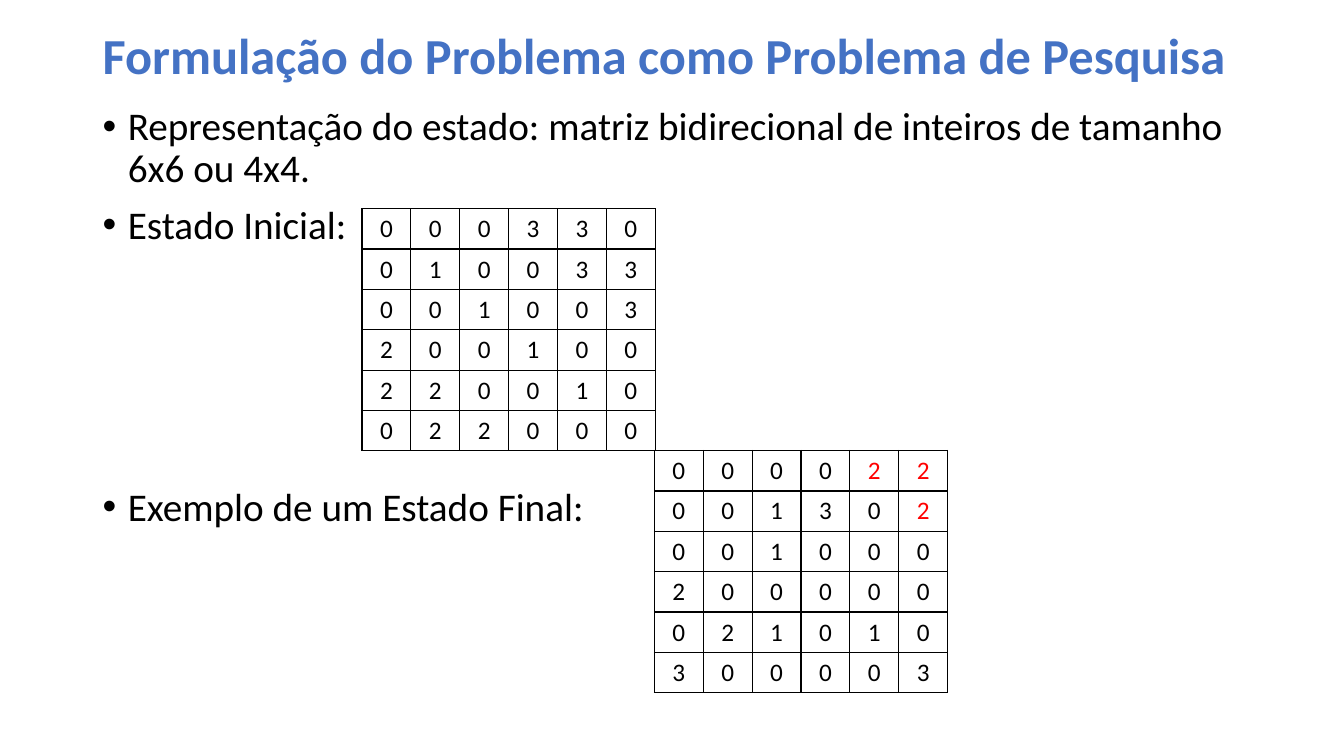
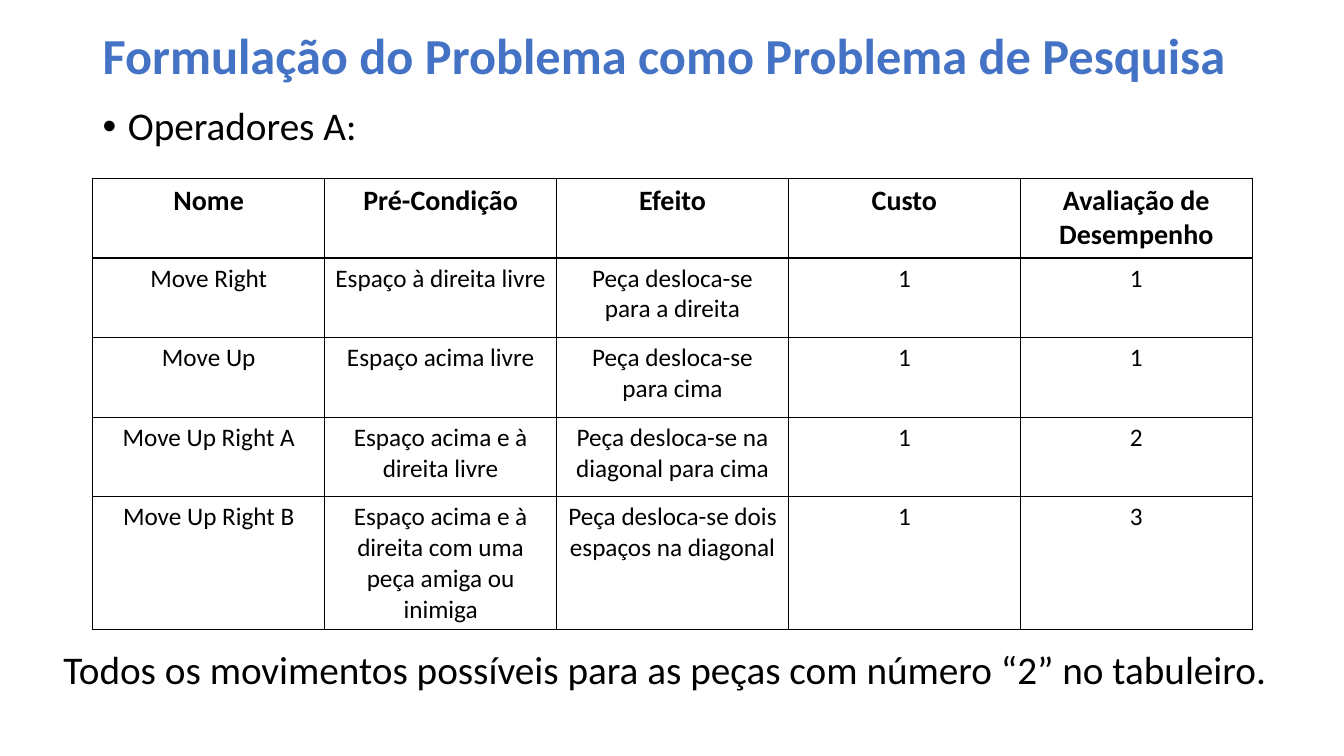
from dataclasses import dataclass

import lxml.etree
import pptx
import pptx.dml.color
import pptx.enum.text
import pptx.oxml.ns
import pptx.util

Inches = pptx.util.Inches
Pt = pptx.util.Pt
RGB = pptx.dml.color.RGBColor
Align = pptx.enum.text.PP_ALIGN
Anchor = pptx.enum.text.MSO_ANCHOR
qn = pptx.oxml.ns.qn


@dataclass(frozen=True)
class Theme:
    font: str = "Calibri"
    title_color: RGB = RGB(0x44, 0x72, 0xC4)
    text_color: RGB = RGB(0, 0, 0)
    mark_color: RGB = RGB(0xFF, 0, 0)
    border_color: RGB = RGB(0, 0, 0)
    border_width: int = Pt(1)
    title_size: int = Pt(36)
    body_size: int = Pt(28)
    header_size: int = Pt(20)
    cell_size: int = Pt(18)
    line_spacing: float = 0.9
    bullet_gap: int = Pt(10)


THEME = Theme()
LEFT, CONTENT_WIDTH = Inches(0.92), Inches(11.5)

TITLE = "Formulação do Problema como Problema de Pesquisa"

# Each bullet: text, space before it
STATE_BULLETS = [
    ("Representação do estado: matriz bidirecional de inteiros de tamanho 6x6 ou 4x4.",
     THEME.bullet_gap),
    ("Estado Inicial:", THEME.bullet_gap),
    ("Exemplo de um Estado Final:", Pt(171)),
]
OPERATOR_BULLETS = [("Operadores A:", THEME.bullet_gap)]

INITIAL_BOARD = ["000330", "010033", "001003", "200100", "220010", "022000"]
FINAL_BOARD = ["000022", "001302", "001000", "200000", "021010", "300003"]
FINAL_MARKS = {(0, 4), (0, 5), (1, 5)}

OPERATORS = [
    ("Nome", "Pré-Condição", "Efeito", "Custo", "Avaliação de Desempenho"),
    ("Move Right", "Espaço à direita livre", "Peça desloca-se para a direita", "1", "1"),
    ("Move Up", "Espaço acima livre", "Peça desloca-se para cima", "1", "1"),
    ("Move Up Right A", "Espaço acima e à direita livre",
     "Peça desloca-se na diagonal para cima", "1", "2"),
    ("Move Up Right B", "Espaço acima e à direita com uma peça amiga ou inimiga",
     "Peça desloca-se dois espaços na diagonal", "1", "3"),
]
OPERATOR_ROW_HEIGHTS = [Inches(0.79)] * 4 + [Inches(1.32)]
OPERATOR_NOTE = "Todos os movimentos possíveis para as peças com número “2” no tabuleiro."


def add_span(para, text, size, color=THEME.text_color, bold=False):
    span = para.add_run()
    span.text = text
    span.font.name = THEME.font
    span.font.size = size
    span.font.bold = bold
    span.font.color.rgb = color


def add_box(page, left, top, width, height):
    box = page.shapes.add_textbox(left, top, width, height)
    box.text_frame.word_wrap = True
    return box.text_frame


def add_bullet_mark(para):
    properties = para._p.get_or_add_pPr()
    properties.set("marL", str(Inches(0.25)))
    properties.set("indent", str(-Inches(0.25)))
    lxml.etree.SubElement(properties, qn("a:buFont"), typeface="Arial")
    lxml.etree.SubElement(properties, qn("a:buChar"), char="•")


def add_page(deck, bullets):
    """Add a slide with the shared title and a bulleted body."""
    page = deck.slides.add_slide(deck.slide_layouts[6])
    title = add_box(page, LEFT, 0, CONTENT_WIDTH, Inches(1.15))
    title.vertical_anchor = Anchor.MIDDLE
    title.paragraphs[0].line_spacing = THEME.line_spacing
    add_span(title.paragraphs[0], TITLE, THEME.title_size, THEME.title_color, bold=True)

    body = add_box(page, LEFT, Inches(1.01), CONTENT_WIDTH, Inches(6.35))
    for index, (text, gap) in enumerate(bullets):
        para = body.add_paragraph() if index else body.paragraphs[0]
        para.line_spacing = THEME.line_spacing
        para.space_before = gap
        add_bullet_mark(para)
        add_span(para, text, THEME.body_size)
    return page


def add_borders(cell):
    properties = cell._tc.get_or_add_tcPr()
    for side in ("a:lnL", "a:lnR", "a:lnT", "a:lnB"):
        line = lxml.etree.SubElement(properties, qn(side), w=str(THEME.border_width))
        fill = lxml.etree.SubElement(line, qn("a:solidFill"))
        lxml.etree.SubElement(fill, qn("a:srgbClr"), val=str(THEME.border_color))


def add_grid(page, rows, left, top, width, row_heights, header=False, marks=()):
    """Add a plain bordered table with equal columns; marks are (row, column) pairs."""
    columns = len(rows[0])
    table = page.shapes.add_table(
        len(rows), columns, left, top, width, sum(row_heights)).table
    table.first_row = header
    table.horz_banding = False
    for column in table.columns:
        column.width = width // columns
    for r, (values, height) in enumerate(zip(rows, row_heights)):
        table.rows[r].height = height
        is_header = header and r == 0
        size = THEME.header_size if is_header else THEME.cell_size
        for c, value in enumerate(values):
            cell = table.cell(r, c)
            add_borders(cell)
            cell.fill.background()
            para = cell.text_frame.paragraphs[0]
            para.alignment = Align.CENTER
            color = THEME.mark_color if (r, c) in marks else THEME.text_color
            add_span(para, value, size, color, bold=is_header)


def add_board(page, board, left, top, marks=()):
    add_grid(page, board, left, top, Inches(2.91), [Inches(0.4)] * len(board), marks=marks)


def build_states(deck):
    page = add_page(deck, STATE_BULLETS)
    add_board(page, INITIAL_BOARD, Inches(3.59), Inches(2.07))
    add_board(page, FINAL_BOARD, Inches(6.49), Inches(4.47), FINAL_MARKS)


def build_operators(deck):
    page = add_page(deck, OPERATOR_BULLETS)
    add_grid(page, OPERATORS, LEFT, Inches(1.77), CONTENT_WIDTH,
             OPERATOR_ROW_HEIGHTS, header=True)
    note = add_box(page, Inches(0.53), Inches(6.35), Inches(12.27), Inches(0.57))
    add_span(note.paragraphs[0], OPERATOR_NOTE, THEME.body_size)


def main():
    deck = pptx.Presentation()
    deck.slide_width, deck.slide_height = Inches(13.33), Inches(7.5)
    build_states(deck)
    build_operators(deck)
    deck.save("out.pptx")


if __name__ == "__main__":
    main()
